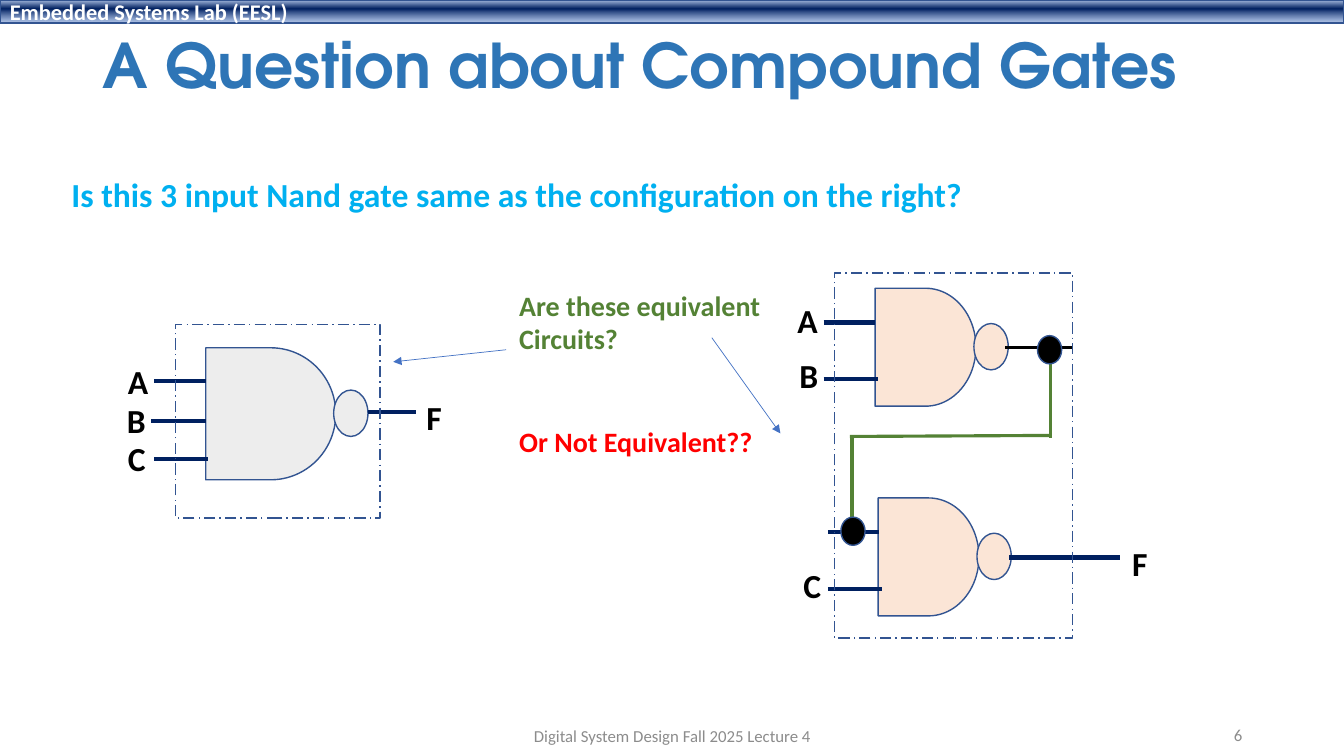
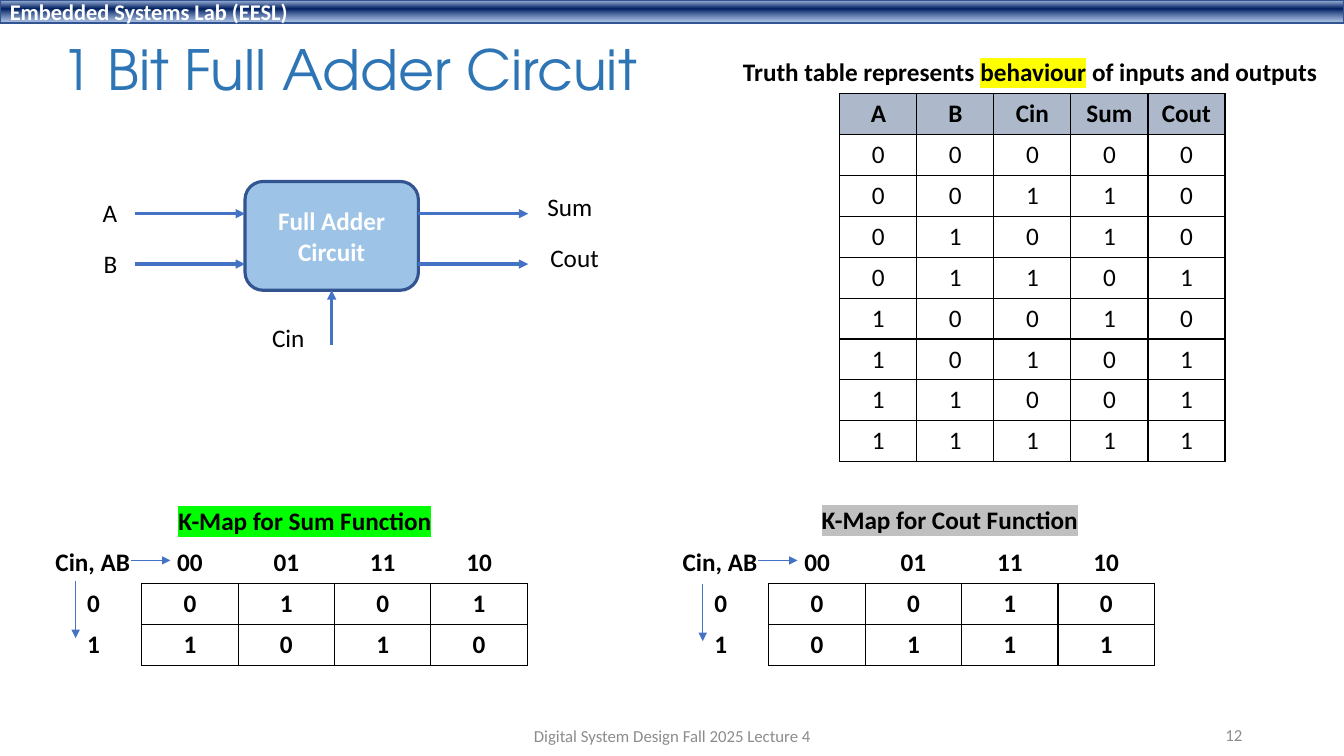
from dataclasses import dataclass

import pptx
import pptx.dml.color
import pptx.enum.dml
import pptx.enum.shapes
import pptx.enum.text
import pptx.oxml
import pptx.oxml.ns
import pptx.util

PX = 9144
COLOURS = {
    "title": "2E75B6", "outline": "325491", "navy": "002060", "arrow": "4472C4",
    "black": "000000", "white": "FFFFFF", "grey": "8C8C8C", "question": "00B0F0",
    "green": "548235", "red": "FF0000", "nand3": "EDEDED", "nand2": "FBE5D6",
    "adder": "9DC3E6", "header": "ADB9CA", "yellow": "FFFF00", "lime": "00FF00",
    "silver": "C0C0C0", "band_top": "ABC0E4", "band_bottom": "7E9ED6",
}
BODY_FONT = "Calibri"
TITLE_FONT = "TeX Gyre Adventor"
LAB = "Embedded Systems Lab (EESL)"
FOOTER = "Digital System Design Fall 2025 Lecture 4"
SHAPE = pptx.enum.shapes.MSO_SHAPE
ALIGN = pptx.enum.text.PP_ALIGN
ANCHOR = pptx.enum.text.MSO_ANCHOR
AUTO = pptx.enum.text.MSO_AUTO_SIZE
qn = pptx.oxml.ns.qn
NS = pptx.oxml.ns.nsdecls("a")


@dataclass(frozen=True)
class Box:
    x: int
    y: int
    w: int
    h: int

    def emu(self) -> list[int]:
        return [side * PX for side in (self.x, self.y, self.w, self.h)]


@dataclass(frozen=True)
class Label:
    text: str
    box: Box


@dataclass(frozen=True)
class Wire:
    x1: int
    y1: int
    x2: int
    y2: int
    colour: str = "navy"
    width: float = 3
    arrow: bool = False


@dataclass(frozen=True)
class Gate:
    body: Box
    fill: str


@dataclass(frozen=True)
class KMap:
    x: int
    arrow_y: int
    title: Label
    mark_colour: str
    rows: list[str]


def rgb(colour: str) -> pptx.dml.color.RGBColor:
    return pptx.dml.color.RGBColor.from_string(COLOURS[colour])


def xml(markup: str):
    return pptx.oxml.parse_xml(markup)


def solid(colour: str) -> str:
    return f'<a:solidFill><a:srgbClr val="{COLOURS[colour]}"/></a:solidFill>'


def write(frame, text: str, *, size: float = 18, colour: str = "black", bold: bool = False,
          font: str = BODY_FONT, align=ALIGN.LEFT, spacing: float = 1, before: float = 0,
          mark: str = "", mark_colour: str = "yellow") -> None:
    for number, line in enumerate(text.split("\n")):
        paragraph = frame.paragraphs[0] if not frame.text else frame.add_paragraph()
        paragraph.alignment = align
        paragraph.line_spacing = spacing
        paragraph.space_before = pptx.util.Pt(0 if number else before)
        for piece in filter(None, line.partition(mark) if mark else [line]):
            run = paragraph.add_run()
            run.text = piece
            run.font.size = pptx.util.Pt(size)
            run.font.bold = bold
            run.font.color.rgb = rgb(colour)
            if piece == mark:
                run.font.element.append(xml(
                    f'<a:highlight {NS}><a:srgbClr val="{COLOURS[mark_colour]}"/></a:highlight>'
                )) if hasattr(run.font, "element") else run._r.get_or_add_rPr().append(xml(
                    f'<a:highlight {NS}><a:srgbClr val="{COLOURS[mark_colour]}"/></a:highlight>'))
            run.font.name = font


def add_text(slide, label: Label, *, fixed: bool = False, **text_format):
    frame = slide.shapes.add_textbox(*label.box.emu()).text_frame
    frame.word_wrap = fixed
    frame.auto_size = AUTO.NONE if fixed else AUTO.SHAPE_TO_FIT_TEXT
    frame.vertical_anchor = ANCHOR.MIDDLE if fixed else ANCHOR.TOP
    write(frame, label.text, **text_format)
    return frame


def add_outlined(slide, kind, box: Box, *, fill: str = "", width: float = 1, dashed: bool = False):
    shape = slide.shapes.add_shape(kind, *box.emu())
    shape.shadow.inherit = False
    if fill:
        shape.fill.solid()
        shape.fill.fore_color.rgb = rgb(fill)
    else:
        shape.fill.background()
    shape.line.color.rgb = rgb("outline")
    shape.line.width = pptx.util.Pt(width)
    if dashed:
        shape.line.dash_style = pptx.enum.dml.MSO_LINE.LONG_DASH_DOT
    return shape


def add_wire(slide, wire: Wire) -> None:
    ends = [value * PX for value in (wire.x1, wire.y1, wire.x2, wire.y2)]
    line = slide.shapes.add_connector(pptx.enum.shapes.MSO_CONNECTOR.STRAIGHT, *ends)
    line.line.color.rgb = rgb(wire.colour)
    line.line.width = pptx.util.Pt(wire.width)
    properties = line.element.spPr
    if wire.arrow:
        properties.find(qn("a:ln")).append(xml(f'<a:tailEnd {NS} type="triangle"/>'))
    properties.append(xml(f"<a:effectLst {NS}/>"))


def add_gate(slide, gate: Gate) -> None:
    body = gate.body
    add_outlined(slide, SHAPE.FLOWCHART_DELAY, body, fill=gate.fill)
    bubble = Box(body.x + body.w - 2, body.y + (body.h - 46) // 2, 34, 46)
    add_outlined(slide, SHAPE.OVAL, bubble, fill=gate.fill)


def add_grid(slide, box: Box, rows: list[list[str]], *, first_framed: int = 0,
             header_fill: str = "", bold: bool = False) -> None:
    table = slide.shapes.add_table(len(rows), len(rows[0]), *box.emu()).table
    table.first_row = table.horz_banding = False

    def framed(row: int, column: int) -> bool:
        return min(row, column) >= first_framed

    for r, row in enumerate(rows):
        for c, text in enumerate(row):
            cell = table.cell(r, c)
            corner = first_framed and r == c == 0
            write(cell.text_frame, text, bold=bold or (r == 0 and bool(header_fill)),
                  align=ALIGN.LEFT if corner else ALIGN.CENTER)
            properties = cell._tc.get_or_add_tcPr()
            neighbours = {"L": (r, c - 1), "R": (r, c + 1), "T": (r - 1, c), "B": (r + 1, c)}
            for side, neighbour in neighbours.items():
                drawn = framed(r, c) or framed(*neighbour)
                paint = solid("black") if drawn else "<a:noFill/>"
                properties.append(xml(f'<a:ln{side} {NS} w="12700">{paint}</a:ln{side}>'))
            if header_fill and r == 0:
                cell.fill.solid()
                cell.fill.fore_color.rgb = rgb(header_fill)
            else:
                cell.fill.background()


def add_band(layout, slide) -> None:
    band = add_outlined(slide, SHAPE.RECTANGLE, Box(0, 0, 1333, 23))
    stops = [(2, "band_top", 100), (38, "navy", 100), (93, "band_bottom", 64)]
    gradient = "".join(
        f'<a:gs pos="{place * 1000}"><a:srgbClr val="{COLOURS[colour]}">'
        f'<a:alpha val="{alpha * 1000}"/></a:srgbClr></a:gs>' for place, colour, alpha in stops)
    properties = band.element.spPr
    properties.replace(properties.find(qn("a:noFill")), xml(
        f'<a:gradFill {NS} rotWithShape="1"><a:gsLst>{gradient}</a:gsLst>'
        '<a:lin ang="5400000" scaled="0"/></a:gradFill>'))
    write(band.text_frame, LAB, size=16, colour="white", bold=True)
    band.element.nvSpPr.cNvPr.set("id", "99")
    layout.shapes.element.append(band.element)


def start_slide(prs, title: Label, number: str, **title_format):
    slide = prs.slides.add_slide(prs.slide_layouts[5])
    heading = slide.shapes.title
    heading.left, heading.top, heading.width, heading.height = title.box.emu()
    heading.text_frame.auto_size = AUTO.NONE
    heading.text_frame.vertical_anchor = ANCHOR.MIDDLE
    write(heading.text_frame, title.text, font=TITLE_FONT, colour="title", spacing=0.9,
          **title_format)
    small = {"fixed": True, "size": 12, "colour": "grey"}
    add_text(slide, Label(number, Box(942, 709, 300, 40)), align=ALIGN.RIGHT, **small)
    add_text(slide, Label(FOOTER, Box(442, 710, 450, 40)), align=ALIGN.CENTER, **small)
    return slide


def build_gates(prs):
    slide = start_slide(prs, Label("A Question about Compound Gates", Box(92, 22, 1150, 92)),
                        "6", size=44, bold=True)
    question = "Is this 3 input Nand gate same as the configuration on the right?"
    add_text(slide, Label(question, Box(61, 168, 913, 50)), size=24, colour="question", bold=True)
    for gate in (Gate(Box(204, 345, 129, 131), "nand3"),
                 Gate(Box(868, 286, 100, 117), "nand2"),
                 Gate(Box(871, 494, 100, 117), "nand2")):
        add_gate(slide, gate)
    for wire in (
        Wire(153, 378, 204, 378), Wire(150, 418, 204, 418), Wire(153, 455, 206, 455),
        Wire(365, 409, 413, 409),
        Wire(817, 320, 868, 320), Wire(817, 376, 871, 376),
        Wire(997, 345, 1064, 345, "black", 2.25),
        Wire(821, 528, 872, 528), Wire(821, 584, 875, 584), Wire(1001, 553, 1111, 553),
        Wire(1042, 345, 1042, 435, "green", 2.25),
        Wire(1042, 432, 843, 433, "green", 2.25),
        Wire(845, 435, 845, 530, "green", 2.25),
        Wire(502, 347, 390, 359, "arrow", 0.5, True),
        Wire(706, 335, 774, 430, "arrow", 0.5, True),
    ):
        add_wire(slide, wire)
    for pin in (
        Label("A", Box(117, 353, 32, 50)), Label("B", Box(116, 392, 31, 50)),
        Label("C", Box(117, 430, 30, 50)), Label("F", Box(413, 389, 28, 50)),
        Label("A", Box(781, 293, 32, 50)), Label("B", Box(783, 347, 31, 50)),
        Label("C", Box(787, 556, 38, 50)), Label("F", Box(1113, 534, 28, 50)),
    ):
        add_text(slide, pin, size=24, bold=True)
    prompt = Label("Are these equivalent\nCircuits?", Box(505, 281, 261, 246))
    frame = add_text(slide, prompt, size=20, colour="green", bold=True)
    write(frame, "Or Not Equivalent??", size=20, colour="red", bold=True, before=49)
    for boundary in (Box(828, 271, 236, 362), Box(174, 322, 203, 192)):
        add_outlined(slide, SHAPE.RECTANGLE, boundary, dashed=True)
    for junction in (Box(834, 513, 24, 28), Box(1029, 333, 24, 28)):
        add_outlined(slide, SHAPE.OVAL, junction, fill="black")
    return slide


def build_adder(prs) -> None:
    slide = start_slide(prs, Label("1 Bit Full Adder Circuit", Box(51, 31, 646, 81)),
                        "12", size=39.6)
    adder = add_outlined(slide, SHAPE.ROUNDED_RECTANGLE, Box(243, 180, 172, 108),
                         fill="adder", width=2.25)
    write(adder.text_frame, "Full Adder\nCircuit", colour="white", bold=True, align=ALIGN.CENTER)
    for y in (212, 262):
        for x in (134, 415):
            add_wire(slide, Wire(x, y, x + 109, y, "arrow", 2.25, True))
    add_wire(slide, Wire(329, 342, 329, 288, "arrow", 2.25, True))
    for signal in (Label("A", Box(92, 191, 35, 40)), Label("B", Box(93, 241, 35, 40)),
                   Label("Cin", Box(260, 315, 53, 40)), Label("Cout", Box(536, 235, 69, 40)),
                   Label("Sum", Box(533, 185, 65, 40))):
        add_text(slide, signal)

    truth = [["A", "B", "Cin", "Sum", "Cout"]]
    for code in range(8):
        bits = [code >> 2, code >> 1 & 1, code & 1]
        truth.append([str(bit) for bit in (*bits, sum(bits) % 2, sum(bits) // 2)])
    add_grid(slide, Box(833, 93, 382, 365), truth, header_fill="header")
    caption = "Truth table represents behaviour of inputs and outputs"
    add_text(slide, Label(caption, Box(727, 51, 594, 40)), bold=True, mark="behaviour")

    for kmap in (
        KMap(45, 576, Label("K-Map for Sum Function", Box(167, 496, 274, 40)),
             "lime", ["0101", "1010"]),
        KMap(667, 579, Label("K-Map for Cout Function", Box(805, 495, 277, 40)),
             "silver", ["0010", "0111"]),
    ):
        cells = [["Cin, AB", "00", "01", "11", "10"]]
        cells += [[str(cin), *row] for cin, row in enumerate(kmap.rows)]
        add_grid(slide, Box(kmap.x, 538, 478, 122), cells, first_framed=1, bold=True)
        down, across = kmap.x + 30, kmap.x + 85
        add_wire(slide, Wire(down, kmap.arrow_y, down, kmap.arrow_y + 57, "arrow", 0.5, True))
        add_wire(slide, Wire(across, 556, across + 39, 556, "arrow", 0.5, True))
        add_text(slide, kmap.title, bold=True, mark=kmap.title.text, mark_colour=kmap.mark_colour)


def main() -> None:
    prs = pptx.Presentation()
    prs.slide_width, prs.slide_height = 1333 * PX, 750 * PX
    gates = build_gates(prs)
    add_band(prs.slide_layouts[5], gates)
    build_adder(prs)
    prs.save("out.pptx")


if __name__ == "__main__":
    main()
